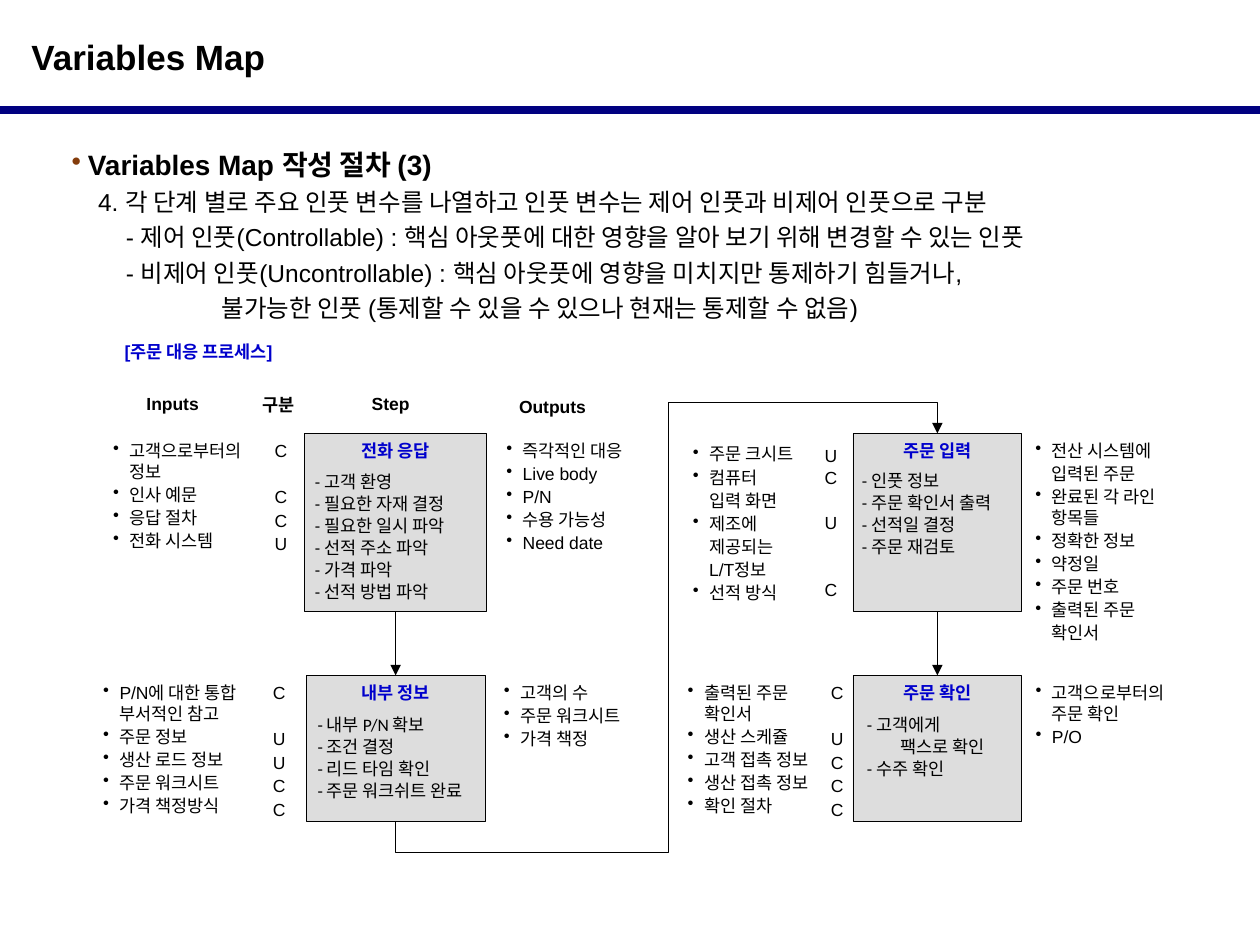
"""Build the Variables Map slide: a four-step order process with inputs and outputs."""
from dataclasses import dataclass

from lxml.etree import SubElement
from pptx import Presentation
from pptx.dml.color import RGBColor as Rgb
from pptx.enum.shapes import MSO_CONNECTOR as Link, MSO_SHAPE as Preset
from pptx.enum.text import MSO_ANCHOR as Anchor, MSO_AUTO_SIZE as Fit, PP_ALIGN as Align
from pptx.oxml.ns import qn
from pptx.util import Inches, Pt


@dataclass(frozen=True)
class Theme:
    ink: Rgb = Rgb.from_string("000000")
    navy: Rgb = Rgb.from_string("000080")
    blue: Rgb = Rgb.from_string("0000CC")
    gray: Rgb = Rgb.from_string("DDDDDD")
    bullet: str = "843C0B"
    font: str = "Arial"
    list_font: str = "Calibri"
    title: int = 20
    heading: int = 16
    body: int = 14
    small: int = 10


theme = Theme()
deck = Presentation()
deck.slide_width, deck.slide_height = Inches(10), Inches(7.5)
page = deck.slides.add_slide(deck.slide_layouts[6])
unit = deck.slide_width / 100
hang = int(1.3 * unit)


def write(frame, lines, size=theme.small, color=theme.ink, font=theme.font, bold=False,
          align=Align.LEFT, gap=0, bullets=False, deep=hang):
    """Fill a frame; '>' starts an indented line and an empty entry leaves a row free."""
    frame.word_wrap = True
    frame.vertical_anchor = Anchor.TOP
    skipped, para = 0, None
    for line in lines:
        if not line:
            skipped += 1
            continue
        para = frame.add_paragraph() if para else frame.paragraphs[0]
        para.text = line.lstrip(">")
        para.alignment = align
        para.space_before = Pt(gap + skipped * (size * 1.15 + gap))
        skipped = 0
        span = para.runs[0].font
        span.name, span.size, span.bold, span.color.rgb = font, Pt(size), bold, color
        props = para._p.get_or_add_pPr()
        if line.startswith(">"):
            props.set("marL", str(int(deep)))
        elif bullets:
            props.set("marL", str(hang))
            props.set("indent", str(-hang))
            SubElement(props, qn("a:buChar")).set("char", "•")


def connect(kind, start, end, color=theme.ink, weight=0.5, arrow=True):
    """Draw a connector without shadow between two grid points."""
    line = page.shapes.add_connector(kind, *[int(n * unit) for n in (*start, *end)])
    line.line.color.rgb = color
    line.line.width = Pt(weight)
    props = line.element.spPr
    if arrow:
        SubElement(props.find(qn("a:ln")), qn("a:tailEnd")).set("type", "triangle")
    SubElement(props, qn("a:effectLst"))
    return line


title = page.shapes.add_textbox(0, int(2.3 * unit), deck.slide_width, int(4.4 * unit))
write(title.text_frame, ["Variables Map"], theme.title, bold=True)
title.text_frame.margin_left = int(2.5 * unit)
connect(Link.STRAIGHT, (0, 8.7), (100, 8.7), theme.navy, 4.5, arrow=False)

body = page.shapes.add_textbox(*[int(n * unit) for n in (4.7, 10.7, 90.6, 15.6)])
write(body.text_frame, [
    "Variables Map 작성 절차 (3)",
    "4. 각 단계 별로 주요 인풋 변수를 나열하고 인풋 변수는 제어 인풋과 비제어 인풋으로 구분",
    "- 제어 인풋(Controllable) : 핵심 아웃풋에 대한 영향을 알아 보기 위해 변경할 수 있는 인풋",
    "- 비제어 인풋(Uncontrollable) : 핵심 아웃풋에 영향을 미치지만 통제하기 힘들거나,",
    "불가능한 인풋 (통제할 수 있을 수 있으나 현재는 통제할 수 없음)",
], theme.body, align=Align.JUSTIFY)
for para, indent in zip(body.text_frame.paragraphs, (1.3, 2.1, 4.3, 4.3, 11.9)):
    para.line_spacing = 1.2
    para._p.pPr.set("marL", str(int(indent * unit)))
heading = body.text_frame.paragraphs[0]
heading.runs[0].font.size = Pt(theme.heading)
heading.runs[0].font.bold = True
heading._p.pPr.set("indent", str(-hang))
tint = SubElement(heading._p.pPr, qn("a:buClr"))
SubElement(tint, qn("a:srgbClr")).set("val", theme.bullet)
SubElement(heading._p.pPr, qn("a:buChar")).set("char", "•")

for text, left, top, width, align, color in [
    ("[주문 대응 프로세스]", 8.8, 26.5, 16.1, Align.LEFT, theme.blue),
    ("Inputs", 9.5, 30.6, 8.4, Align.CENTER, theme.ink),
    ("구분", 17.9, 30.7, 8.4, Align.CENTER, theme.ink),
    ("Step", 26.8, 30.6, 8.4, Align.CENTER, theme.ink),
    ("Outputs", 40.1, 30.8, 8.4, Align.LEFT, theme.ink),
]:
    box = page.shapes.add_textbox(*[int(n * unit) for n in (left, top, width, 2.8)])
    frame = box.text_frame
    write(frame, [text], color=color, bold=True, align=align)
    frame.margin_left = frame.margin_right = int(1.1 * unit)
    frame.margin_top = frame.margin_bottom = int(0.6 * unit)

upper, lower = (34.4, 14.1), (53.6, 11.6)
steps = []
for name, center, width, (top, height), (left, first, wide, tall), tasks in [
    ("전화 응답", 31.4, 14.5, upper, (25, 37.4, 12, 10.5),
     ["- 고객 환영", "- 필요한 자재 결정", "- 필요한 일시 파악", "- 선적 주소 파악",
      "- 가격 파악", "- 선적 방법 파악"]),
    ("내부 정보", 31.4, 14.2, lower, (25.2, 56.7, 14.8, 8.8),
     ["- 내부 P/N 확보", "- 조건 결정", "- 리드 타임 확인", "- 주문 워크쉬트 완료"]),
    ("주문 입력", 74.4, 13.4, upper, (68.4, 37.3, 12, 7),
     ["- 인풋 정보", "- 주문 확인서 출력", "- 선적일 결정", "- 주문 재검토"]),
    ("주문 확인", 74.4, 13.4, lower, (68.8, 56.7, 11.4, 5.1),
     ["- 고객에게", ">팩스로 확인", "- 수주 확인"]),
]:
    step = page.shapes.add_shape(
        Preset.RECTANGLE, *[int(n * unit) for n in (center - width / 2, top, width, height)])
    step.shadow.inherit = False
    step.fill.solid()
    step.fill.fore_color.rgb = theme.gray
    step.line.color.rgb = theme.ink
    step.line.width = Pt(0.5)
    write(step.text_frame, [name], color=theme.blue, bold=True, align=Align.CENTER)
    steps.append(step)
    box = page.shapes.add_textbox(*[int(n * unit) for n in (left, first, wide, tall)])
    frame = box.text_frame
    write(frame, tasks, font=theme.list_font, gap=0.5, deep=2.7 * unit)
    frame.margin_left = frame.margin_right = frame.margin_top = frame.margin_bottom = 0

for left, top, width, height, items in [
    (8, 34.4, 12.7, 9.9, ["고객으로부터의 정보", "인사 예문", "응답 절차", "전화 시스템"]),
    (7.2, 53.6, 14.2, 11.8, ["P/N에 대한 통합 부서적인 참고", "주문 정보", "생산 로드 정보",
                             "주문 워크시트", "가격 책정방식"]),
    (39.2, 34.4, 12.5, 10.1, ["즉각적인 대응", "Live body", "P/N", "수용 가능성", "Need date"]),
    (39, 53.6, 12.5, 6.4, ["고객의 수", "주문 워크시트", "가격 책정"]),
    (54, 34.7, 11.3, 13.8, ["주문 크시트", "컴퓨터", ">입력 화면", "제조에", ">제공되는",
                            ">L/T정보", "선적 방식"]),
    (53.6, 53.6, 12.8, 11.8, ["출력된 주문 확인서", "생산 스케쥴", "고객 접촉 정보",
                              "생산 접촉 정보", "확인 절차"]),
    (81.2, 34.4, 13, 17.3, ["전산 시스템에", ">입력된 주문", "완료된 각 라인 항목들",
                            "정확한 정보", "약정일", "주문 번호", "출력된 주문", ">확인서"]),
    (81.2, 53.6, 13.8, 6.2, ["고객으로부터의 주문 확인", "P/O"]),
]:
    box = page.shapes.add_textbox(*[int(n * unit) for n in (left, top, width, height)])
    write(box.text_frame, items, gap=1.2, bullets=True)
    box.text_frame.auto_size = Fit.SHAPE_TO_FIT_TEXT

for left, top, width, height, gap, codes in [
    (20.4, 34.4, 3.8, 10.1, 1.5, "C,,C,C,U"),
    (20.2, 53.6, 3.9, 11.9, 1.5, "C,,U,U,C,C"),
    (64.2, 34.8, 3.5, 13.3, 1, "U,C,,U,,,C"),
    (64.6, 53.6, 3.7, 11.9, 1.5, "C,,U,C,C,C"),
]:
    box = page.shapes.add_textbox(*[int(n * unit) for n in (left, top, width, height)])
    write(box.text_frame, codes.split(","), align=Align.CENTER, gap=gap)

call, internal, entry, check = steps
for source, target in ((call, internal), (entry, check)):
    arrow = connect(Link.STRAIGHT, (0, 0), (1, 1))
    arrow.begin_connect(source, 2)
    arrow.end_connect(target, 0)

start, end = (31.4, 65.2), (74.4, 34.4)
detour = connect(Link.ELBOW, start, end)
detour.begin_connect(internal, 2)
detour.end_connect(entry, 0)
across, rise = end[0] - start[0], start[1] - end[1]
detour.left = int(((start[0] + end[0]) - rise) / 2 * unit)
detour.top = int(((start[1] + end[1]) - across) / 2 * unit)
detour.width, detour.height = int(rise * unit), int(across * unit)
for key, value in (("rot", "5400000"), ("flipH", "1"), ("flipV", "1")):
    detour.element.spPr.find(qn("a:xfrm")).set(key, value)
geometry = detour.element.spPr.find(qn("a:prstGeom"))
geometry.set("prst", "bentConnector5")
for number, value in enumerate((-8100, 50400, 108100), 1):
    guide = SubElement(geometry.find(qn("a:avLst")), qn("a:gd"))
    guide.set("name", f"adj{number}")
    guide.set("fmla", f"val {value}")

deck.save("out.pptx")
